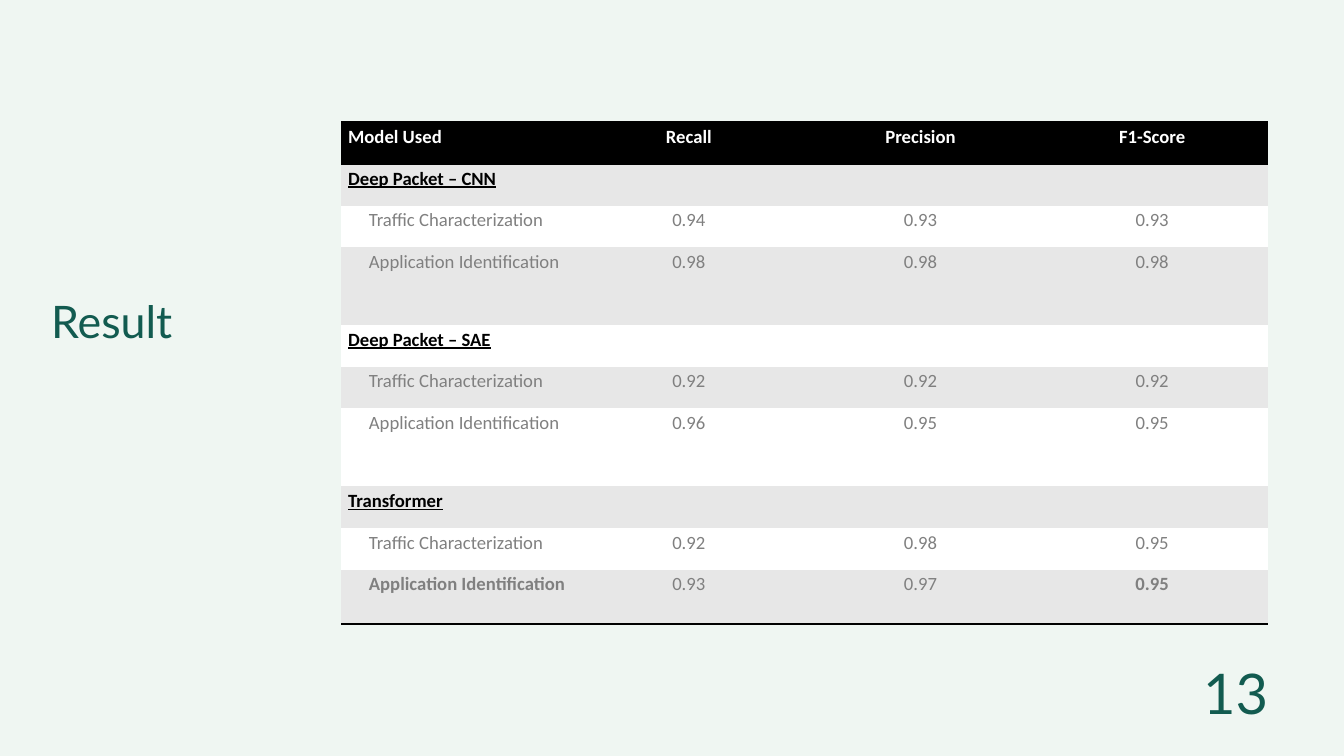
from pptx import Presentation
from pptx.dml.color import RGBColor
from pptx.enum.text import MSO_ANCHOR, MSO_AUTO_SIZE, PP_ALIGN
from pptx.oxml import parse_xml
from pptx.oxml.ns import nsdecls
from pptx.util import Inches, Pt

GREEN, BLACK, WHITE, GREY, BAND = "125B50", "000000", "FFFFFF", "808080", "E7E7E7"
NO_GRID_STYLE = "{2D5ABB26-0587-4C30-8999-92F81FD0307C}"


def color(value):
    return RGBColor.from_string(value)


def add_border(cell, side):
    cell._tc.get_or_add_tcPr().append(parse_xml(
        f'<a:ln{side} {nsdecls("a")} w="25400"><a:solidFill>'
        f'<a:srgbClr val="{BLACK}"/></a:solidFill></a:ln{side}>'))


presentation = Presentation()
presentation.slide_width = Inches(20)
presentation.slide_height = Inches(11.25)
slide = presentation.slides.add_slide(presentation.slide_layouts[5])
slide.background.fill.solid()
slide.background.fill.fore_color.rgb = color("EFF6F2")

# Title and page number
title = slide.shapes.title
title.left, title.top = Inches(0.76), Inches(4.23)
title.width, title.height = Inches(4.06), Inches(0.89)
page_number = slide.shapes.add_textbox(Inches(15.41), Inches(10.33), Inches(3.46), Inches(0.58))
for shape, text, size, spacing, alignment in [
    (title, "Result", 48, 67.2, PP_ALIGN.LEFT),
    (page_number, "13", 60, 33.6, PP_ALIGN.RIGHT),
]:
    frame = shape.text_frame
    frame.text = text
    frame.word_wrap = True
    frame.auto_size = MSO_AUTO_SIZE.SHAPE_TO_FIT_TEXT
    frame.vertical_anchor = MSO_ANCHOR.TOP
    frame.margin_left = frame.margin_right = frame.margin_top = frame.margin_bottom = 0
    paragraph = frame.paragraphs[0]
    paragraph.alignment = alignment
    paragraph.line_spacing = Pt(spacing)
    font = paragraph.runs[0].font
    font.name, font.size = "Lato", Pt(size)
    font.color.rgb = color(GREEN)

# Results table: a row with one entry is a model heading
rows = [
    ["Model Used", "Recall", "Precision", "F1-Score"],
    ["Deep Packet – CNN"],
    ["Traffic Characterization", "0.94", "0.93", "0.93"],
    ["Application Identification", "0.98", "0.98", "0.98"],
    ["Deep Packet – SAE"],
    ["Traffic Characterization", "0.92", "0.92", "0.92"],
    ["Application Identification", "0.96", "0.95", "0.95"],
    ["Transformer"],
    ["Traffic Characterization", "0.92", "0.98", "0.95"],
    ["Application Identification", "0.93", "0.97", "0.95"],
]
row_heights = [0.62, 0.62, 0.62, 1.16, 0.62, 0.62, 1.16, 0.62, 0.62, 0.81]
last_row = len(rows) - 1
table_shape = slide.shapes.add_table(
    len(rows), 4, Inches(5.08), Inches(1.82), Inches(13.79), Inches(sum(row_heights)))
table = table_shape.table
table._tbl.tblPr.find("{*}tableStyleId").text = NO_GRID_STYLE

for row_index, (values, height) in enumerate(zip(rows, row_heights)):
    table.rows[row_index].height = Inches(height)
    is_header = row_index == 0
    is_model = len(values) == 1
    if is_model:
        table.cell(row_index, 0).merge(table.cell(row_index, 3))

    for column_index in range(4):
        cell = table.cell(row_index, column_index)
        if is_header:
            add_border(cell, "T")
        if is_header or row_index == last_row:
            add_border(cell, "B")
        cell.fill.solid()
        cell.fill.fore_color.rgb = color(BLACK if is_header else BAND if row_index % 2 else WHITE)
        if column_index >= len(values):
            continue

        cell.text_frame.text = values[column_index]
        paragraph = cell.text_frame.paragraphs[0]
        if column_index > 0:
            paragraph.alignment = PP_ALIGN.CENTER
        elif not is_header and not is_model:
            cell.margin_left = Inches(0.41)
        font = paragraph.runs[0].font
        font.name, font.size = "Calibri", Pt(20)
        font.bold = is_header or is_model or (row_index == last_row and column_index in (0, 3))
        font.underline = is_model
        font.color.rgb = color(WHITE if is_header else BLACK if is_model else GREY)

presentation.save("out.pptx")
